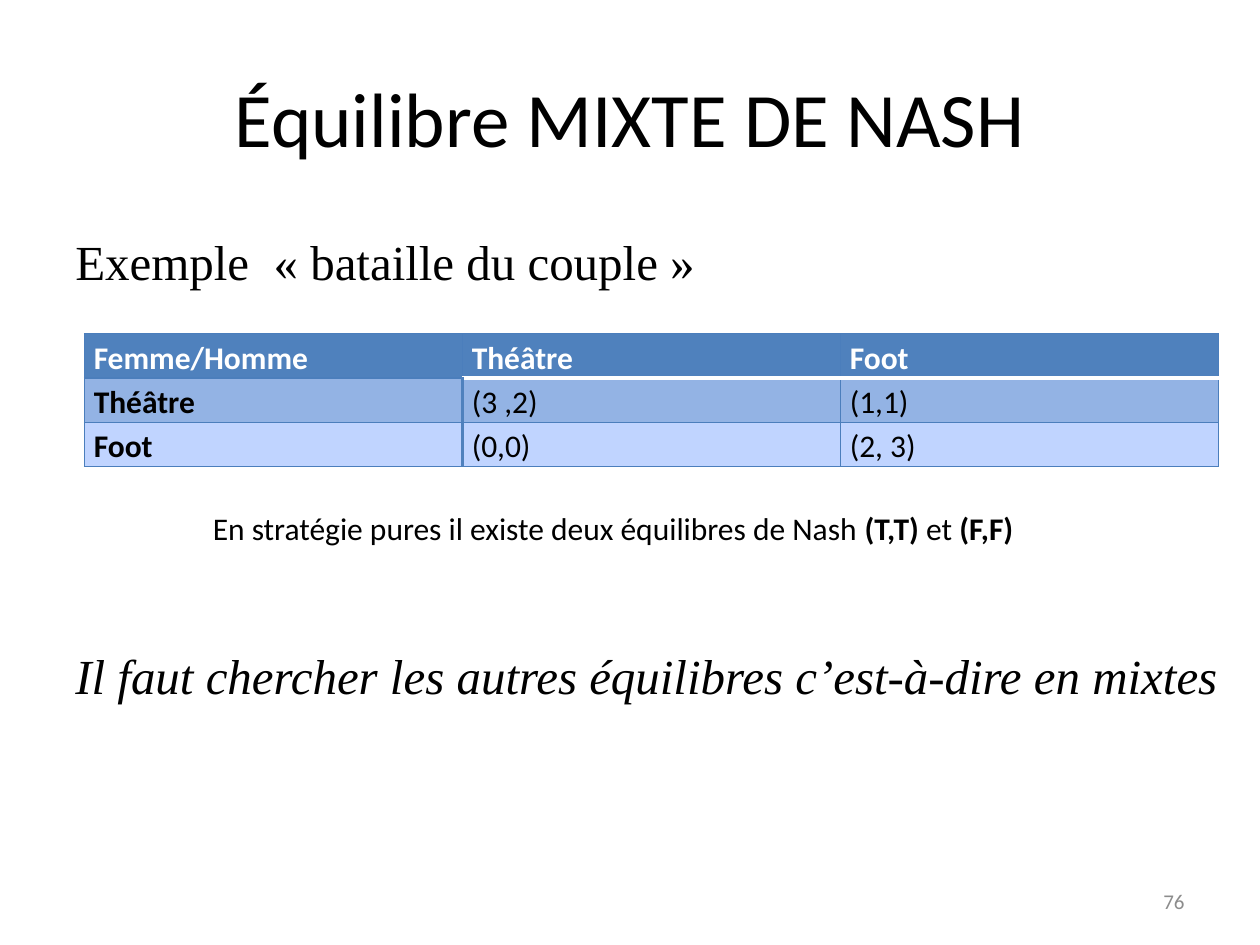
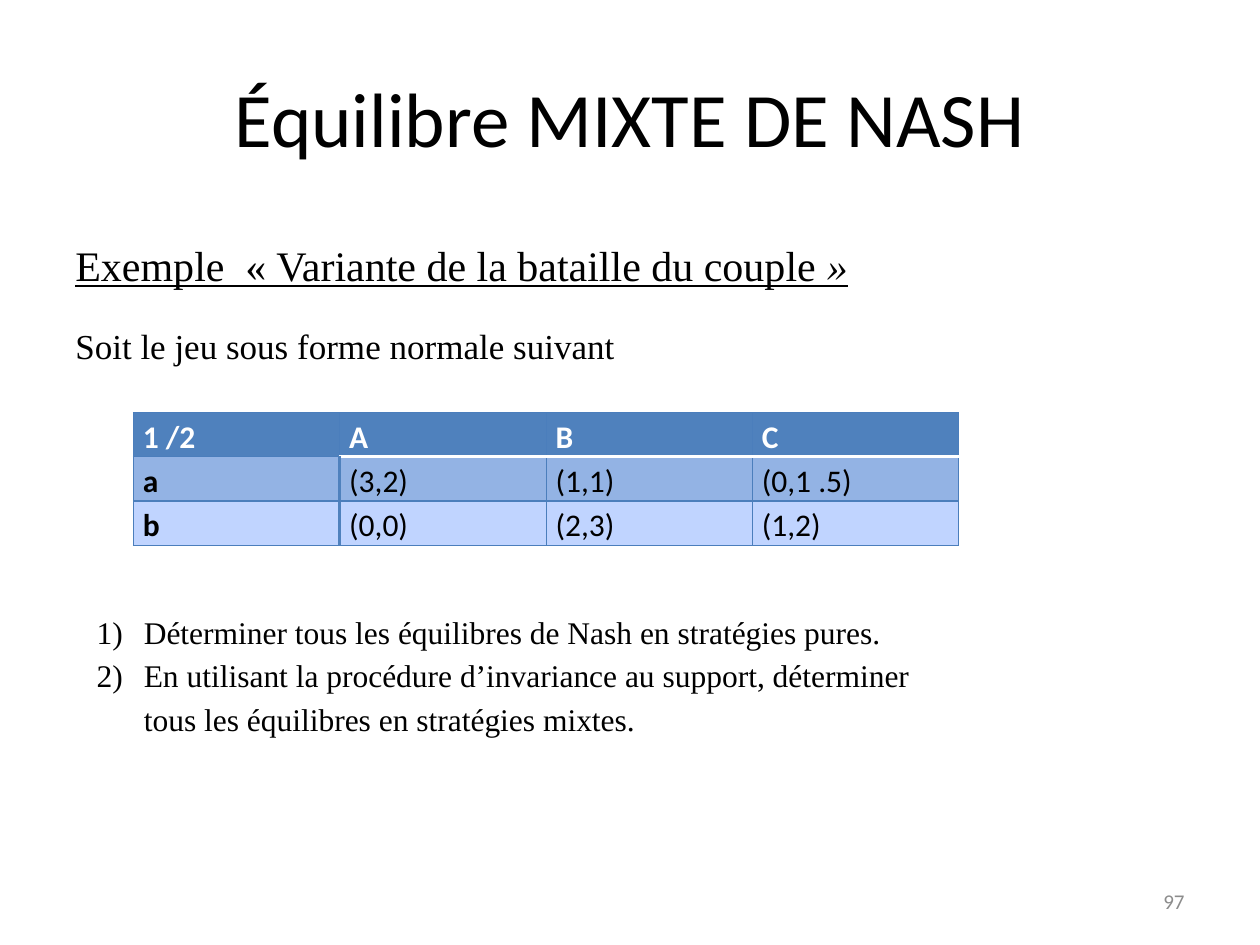
from lxml import etree
from pptx import Presentation
from pptx.dml.color import RGBColor
from pptx.enum import text as t
from pptx.oxml import ns
from pptx.util import Cm, Pt

BLACK = RGBColor(0, 0, 0)
WHITE = RGBColor(255, 255, 255)
GREY = RGBColor(0x8C, 0x8C, 0x8C)
BLUE = RGBColor(0x4F, 0x81, 0xBD)
EDGE = RGBColor(0x4B, 0x7E, 0xBC)
ROWS = [BLUE, RGBColor(0x93, 0xB3, 0xE4), RGBColor(0xC0, 0xD4, 0xFF)]
SANS, SERIF = "Calibri", "Times New Roman"
TITLE = "Équilibre MIXTE DE NASH"
ROW_H = 0.89
LEFT, RIGHT = t.PP_ALIGN.LEFT, t.PP_ALIGN.RIGHT
MID = t.MSO_ANCHOR.MIDDLE


def write(para, runs, size=18, face=SANS, color=BLACK, bold=False,
          slant=False, under=False, align=LEFT, lead=None, before=0,
          after=0, num=False):
    """Fill a paragraph; a run is a string or (string, font changes)."""
    if num:
        props = para._p.get_or_add_pPr()
        props.set("marL", str(Cm(0.95)))
        props.set("indent", str(-Cm(0.95)))
        mark = etree.SubElement(props, ns.qn("a:buAutoNum"))
        mark.set("type", "arabicParenR")
    para.alignment = align
    para.space_before, para.space_after = Pt(before), Pt(after)
    if lead:
        para.line_spacing = lead
    for item in [runs] if isinstance(runs, str) else runs:
        words, change = (item, {}) if isinstance(item, str) else item
        run = para.add_run()
        run.text = words
        font = run.font
        font.name, font.size, font.color.rgb = face, Pt(size), color
        font.bold, font.italic, font.underline = bold, slant, under
        for key, value in change.items():
            setattr(font, key, value)


def add_box(slide, box, paras, anchor=t.MSO_ANCHOR.TOP):
    """Add a text box; each paragraph is (runs, format)."""
    frame = slide.shapes.add_textbox(*map(Cm, box)).text_frame
    frame.word_wrap = True
    frame.vertical_anchor = anchor
    for i, (runs, form) in enumerate(paras):
        para = frame.add_paragraph() if i else frame.paragraphs[0]
        write(para, runs, **form)


def add_base(deck, number):
    """Add a slide with its title and page number."""
    slide = deck.slides.add_slide(deck.slide_layouts[5])
    title = slide.shapes.title
    title.left, title.top = Cm(1.27), Cm(0.76)
    title.width, title.height = Cm(22.86), Cm(3.18)
    title.text_frame.vertical_anchor = MID
    write(title.text_frame.paragraphs[0], TITLE, size=44,
          align=t.PP_ALIGN.CENTER)
    add_box(slide, (18.21, 17.65, 5.92, 1.02),
            [(number, dict(size=12, color=GREY, align=RIGHT))], MID)
    return slide


def draw_edge(cell, side, color, width):
    line = etree.SubElement(cell._tc.get_or_add_tcPr(), ns.qn("a:ln" + side))
    line.set("w", str(Pt(width)))
    fill = etree.SubElement(line, ns.qn("a:solidFill"))
    etree.SubElement(fill, ns.qn("a:srgbClr")).set("val", str(color))


def add_game(slide, left, top, width, data):
    """Add a payoff table with a header row and a label column."""
    size = len(data), len(data[0])
    grid = slide.shapes.add_table(*size, Cm(left), Cm(top), Cm(width),
                                  Cm(ROW_H * size[0])).table
    thin, white, thick = (EDGE, 0.75), (WHITE, 2), (BLUE, 2)
    for r, row in enumerate(data):
        grid.rows[r].height = Cm(ROW_H)
        for c, words in enumerate(row):
            cell = grid.cell(r, c)
            edges = {
                "L": thick if r and c == 1 else thin,
                "R": thick if r and c == 0 else thin,
                "T": white if r == 1 and c else thin,
                "B": white if r == 0 and c else thin,
            }
            for side, style in edges.items():
                draw_edge(cell, side, *style)
            cell.fill.solid()
            cell.fill.fore_color.rgb = ROWS[r]
            cell.margin_left = cell.margin_right = Cm(0.19)
            cell.margin_top = cell.margin_bottom = 0
            write(cell.text_frame.paragraphs[0], words, lead=1.15,
                  bold=r == 0 or c == 0, color=BLACK if r else WHITE)


def add_couple(deck):
    slide = add_base(deck, "76")
    body = dict(size=28, face=SERIF)
    add_box(slide, (1.27, 4.55, 23.65, 12.6), [
        ("Exemple  « bataille du couple »", body),
        ("Il faut chercher les autres équilibres c’est-à-dire en mixtes",
         dict(body, slant=True, before=203)),
    ])
    add_game(slide, 1.7, 6.73, 22.86, [
        ["Femme/Homme", "Théâtre", "Foot"],
        ["Théâtre", "(3 ,2)", "(1,1)"],
        ["Foot", "(0,0)", "(2, 3)"],
    ])
    strong = dict(bold=True)
    add_box(slide, (4.04, 10.13, 17.8, 1.02), [
        (["En stratégie pures il existe deux équilibres de Nash ",
          ("(T,T) ", strong), "et ", ("(F,F)", strong)], {}),
    ])


def add_variant(deck):
    slide = add_base(deck, "97")
    body = dict(face=SERIF, lead=1.15)
    add_box(slide, (1.27, 4.55, 22.86, 12.5), [
        (["Exemple  « Variante de la bataille du couple",
          (" »", dict(italic=True))],
         dict(body, size=24, under=True, after=10)),
        ("Soit le jeu sous forme normale suivant",
         dict(body, size=20, before=6)),
    ])
    add_game(slide, 2.69, 8.32, 16.64, [
        ["1 /2", "A", "B", "C"],
        ["a", "(3,2)", "(1,1)", "(0,1 .5)"],
        ["b", "(0,0)", "(2,3)", "(1,2)"],
    ])
    add_box(slide, (1.7, 12.12, 17.4, 2.92), [
        ("Déterminer tous les équilibres de Nash en stratégies pures.",
         dict(body, num=True)),
        ("En utilisant la procédure d’invariance au support, déterminer "
         "tous les équilibres en stratégies mixtes.",
         dict(body, num=True, after=10)),
    ])


def main():
    deck = Presentation()
    deck.slide_width, deck.slide_height = Cm(25.4), Cm(19.05)
    add_couple(deck)
    add_variant(deck)
    deck.save("out.pptx")


if __name__ == "__main__":
    main()
